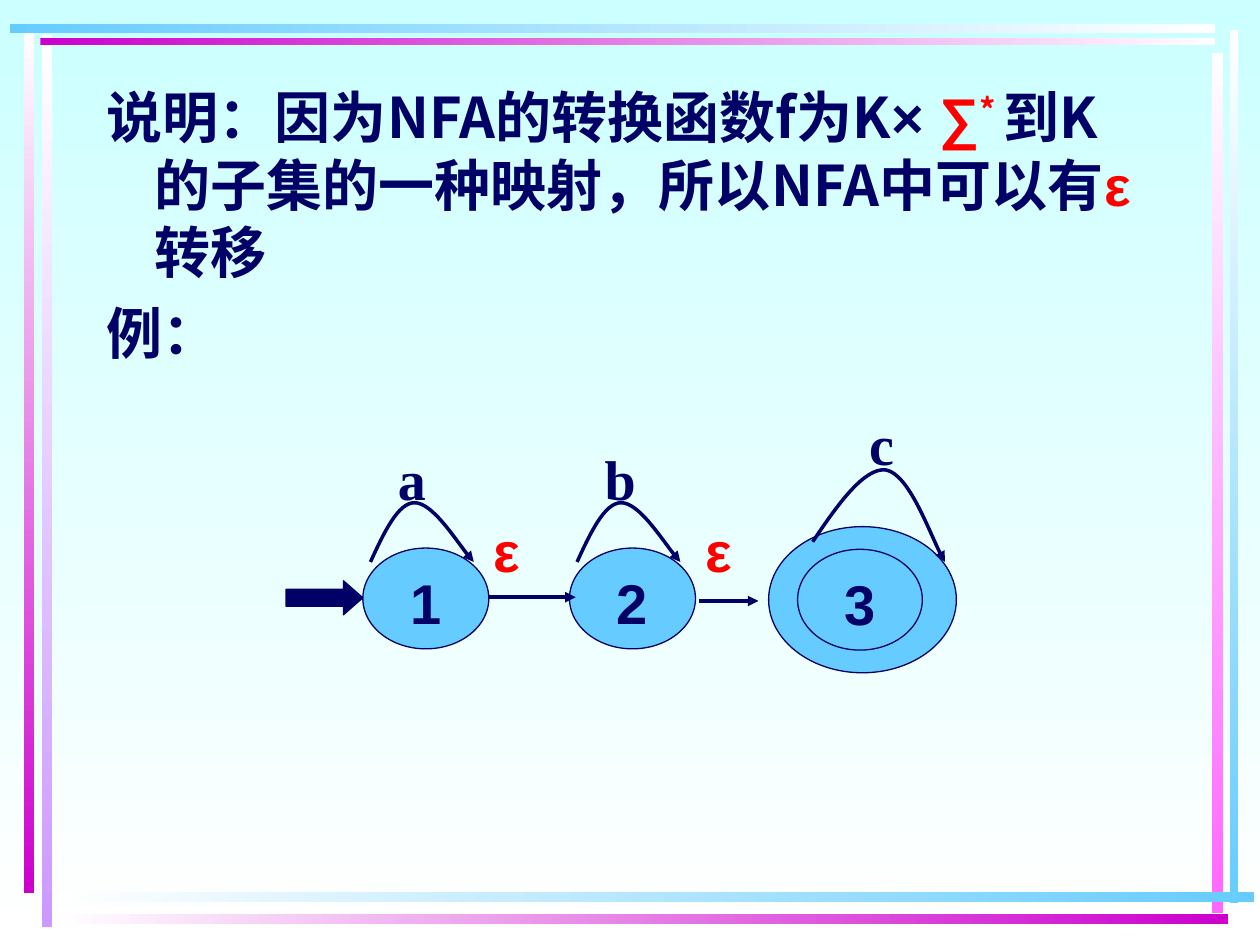
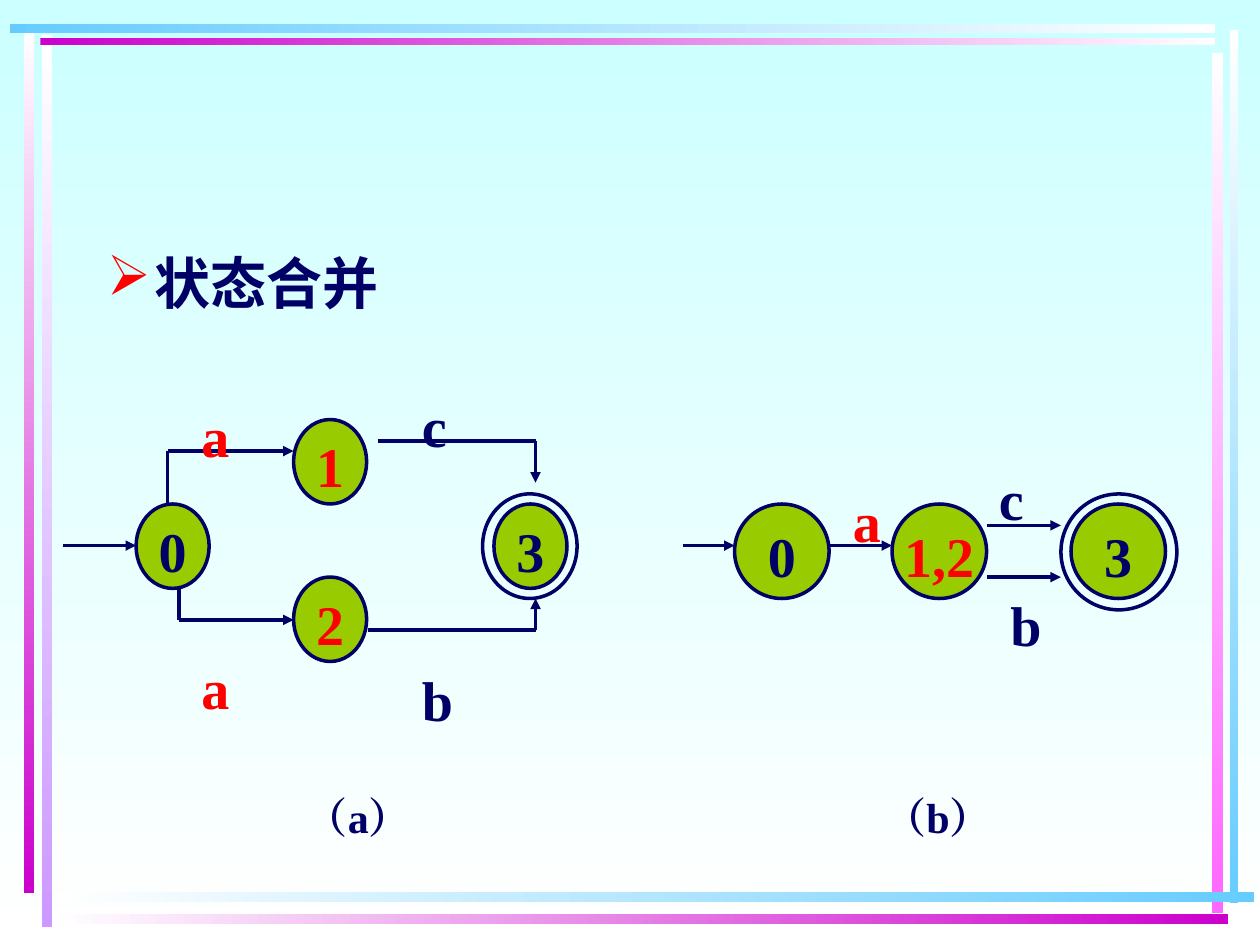
from lxml.etree import SubElement
from pptx import Presentation
from pptx.dml.color import RGBColor
from pptx.enum.shapes import MSO_CONNECTOR, MSO_SHAPE
from pptx.enum.text import MSO_ANCHOR, PP_ALIGN
from pptx.oxml.ns import qn
from pptx.util import Inches, Pt

NAVY, RED, SKY, LIME = "000066", "FF0000", "66CCFF", "99CC00"
WHITE, PALE, PURPLE, PINK, LILAC = "FFFFFF", "CCFFFF", "CC00CC", "FF66FF", "CC99FF"
SANS, SERIF, HAN, LATO = "Arial", "Times New Roman", "Noto Sans CJK SC", "Lato"
DOWN, RIGHT = 270, 0

# left, top, width, height, first colour, last colour, direction
BANDS = [
    (0.33, 0.28, 0.08, 7.08, WHITE, LILAC, DOWN),
    (0.19, 0.25, 0.08, 6.84, WHITE, PURPLE, DOWN),
    (9.76, 0.24, 0.07, 6.93, WHITE, SKY, DOWN),
    (9.62, 0.42, 0.09, 6.83, WHITE, PINK, DOWN),
    (0.45, 7.08, 9.5, 0.08, WHITE, SKY, RIGHT),
    (0.45, 7.25, 9.3, 0.08, WHITE, PURPLE, RIGHT),
    (0.32, 0.3, 9.32, 0.06, PURPLE, WHITE, RIGHT),
    (0.08, 0.19, 9.56, 0.07, SKY, WHITE, RIGHT),
]


def rgb(code):
    return RGBColor.from_string(code)


def box(*sizes):
    return [Inches(size) for size in sizes]


def blend(fill, first, last, angle):
    fill.gradient()
    fill.gradient_angle = angle
    for stop, code in zip(fill.gradient_stops, (first, last)):
        stop.color.rgb = rgb(code)


class Deck:
    """Holds the shared style and the slide being drawn."""

    def __init__(self):
        self.prs = Presentation()
        self.prs.slide_width, self.prs.slide_height = box(10, 7.5)

    def start(self, face, width):
        """Begin a framed slide with a diagram font and outline width."""
        self.face, self.width = face, width
        slide = self.prs.slides.add_slide(self.prs.slide_layouts[6])
        self.shapes = slide.shapes
        blend(slide.background.fill, PALE, WHITE, DOWN)
        for *place, first, last, angle in BANDS:
            band = self.shape(MSO_SHAPE.RECTANGLE, place)
            blend(band.fill, first, last, angle)
            band.line.fill.background()

    def shape(self, kind, place, fill=None):
        item = self.shapes.add_shape(kind, *box(*place))
        item.shadow.inherit = False
        if fill:
            item.fill.solid()
            item.fill.fore_color.rgb = rgb(fill)
        else:
            item.fill.background()
        self.stroke(item.line, self.width)
        return item

    def stroke(self, line, width=2, arrow=False):
        line.color.rgb = rgb(NAVY)
        line.width = Pt(width)
        if arrow:
            SubElement(line._get_or_add_ln(), qn("a:tailEnd"), type="triangle")

    def style(self, run, face, color=NAVY, size=32, east=None):
        font = run.font
        font.name, font.size, font.bold = face, Pt(size), True
        font.color.rgb = rgb(color)
        SubElement(run._r.get_or_add_rPr(), qn("a:ea"), typeface=east or face)

    def inset(self, frame):
        frame.margin_left = frame.margin_right = Inches(0.1)
        frame.margin_top, frame.margin_bottom = box(0.11, 0.05)

    def node(self, text, place, fill, color=NAVY):
        frame = self.shape(MSO_SHAPE.OVAL, place, fill).text_frame
        self.inset(frame)
        frame.word_wrap = False
        frame.vertical_anchor = MSO_ANCHOR.MIDDLE
        frame.text = text
        para = frame.paragraphs[0]
        para.alignment = PP_ALIGN.CENTER
        for run in para.runs:
            self.style(run, self.face, color)

    def ring(self, place, fill=None):
        self.shape(MSO_SHAPE.OVAL, place, fill)

    def label(self, text, place, color=NAVY, face=SERIF, size=32, align=PP_ALIGN.LEFT):
        frame = self.shapes.add_textbox(*box(*place)).text_frame
        self.inset(frame)
        frame.word_wrap = True
        frame.text = text
        para = frame.paragraphs[0]
        para.alignment = align
        self.style(para.runs[0], face, color, size)

    def line(self, *ends, arrow=True):
        item = self.shapes.add_connector(MSO_CONNECTOR.STRAIGHT, *box(*ends))
        self.stroke(item.line, arrow=arrow)
        SubElement(item._element.spPr, qn("a:effectLst"))

    def loop(self, start, *points):
        """Draw an arrow of cubic curves, three points to each curve."""
        pen = self.shapes.build_freeform(*box(*start))
        pen.add_line_segments([box(*point) for point in points], close=False)
        item = pen.convert_to_shape()
        route = item._element.find(".//" + qn("a:path"))
        steps = route.findall(qn("a:lnTo"))
        for i in range(0, len(steps), 3):
            curve = SubElement(route, qn("a:cubicBezTo"))
            for step in steps[i:i + 3]:
                curve.append(step[0])
                route.remove(step)
        item.shadow.inherit = False
        item.fill.background()
        self.stroke(item.line, arrow=True)

    def body(self, place, paras, bullet=None):
        """Write paragraphs of (text, face, colour, raise) with a hanging indent."""
        frame = self.shapes.add_textbox(*box(*place)).text_frame
        frame.word_wrap = True
        for i, parts in enumerate(paras):
            para = frame.add_paragraph() if i else frame.paragraphs[0]
            para.line_spacing = Pt(38.4)
            if i:
                para.space_before = Pt(8)
            props = para._p.get_or_add_pPr()
            props.set("marL", str(Inches(0.38)))
            props.set("indent", str(-Inches(0.38)))
            if bullet:
                tint = SubElement(props, qn("a:buClr"))
                SubElement(tint, qn("a:srgbClr"), val=RED)
                SubElement(props, qn("a:buChar"), char=bullet)
            for text, face, color, lift in parts:
                run = para.add_run()
                run.text = text
                self.style(run, face, color, east=LATO if face == LATO else HAN)
                if lift:
                    run.font._element.set("baseline", str(lift * 1000))


def moves(deck):
    """The automaton with empty moves."""
    deck.start(SANS, 0.75)
    deck.body((0.75, 0.61, 8.5, 2.67), [
        [("说明：因为NFA的转换函数f为K", HAN, NAVY, 0),
         ("× ", SANS, NAVY, 0),
         ("∑", SANS, RED, 0),
         ("* ", HAN, RED, 30),
         ("到K的子集的一种映射，所以NFA中可以有", HAN, NAVY, 0),
         ("ε", SANS, RED, 0),
         ("转移", HAN, NAVY, 0)],
        [("例：", HAN, NAVY, 0)],
    ])
    for i, (state, sign) in enumerate(zip("12", "ab")):
        dx = 1.64 * i
        deck.node(state, (2.88 + dx, 4.35, 1, 0.8), SKY)
        deck.loop((2.94 + dx, 4.46),
                  (3.05 + dx, 4.22), (3.16 + dx, 3.99), (3.29 + dx, 3.99),
                  (3.43 + dx, 3.99), (3.68 + dx, 4.38), (3.76 + dx, 4.46))
        deck.label(sign, (3.06 + dx, 3.42, 0.47, 0.64))
        deck.label("ε", (3.64 + 1.68 * i, 3.99, 0.77, 0.64), RED, SANS,
                   align=PP_ALIGN.CENTER)
    entry = deck.shape(MSO_SHAPE.RIGHT_ARROW, (2.27, 4.61, 0.61, 0.27), NAVY)
    entry.adjustments[1] = 0.57
    deck.line(3.87, 4.74, 4.57, 4.74)
    deck.line(5.55, 4.77, 6.02, 4.77)
    deck.ring((6.1, 4.18, 1.49, 1.16), SKY)
    deck.node("3", (6.33, 4.36, 0.99, 0.8), SKY)
    deck.loop((6.45, 4.3), (6.65, 4), (6.86, 3.71), (7.03, 3.73),
              (7.21, 3.76), (7.42, 4.34), (7.5, 4.46))
    deck.label("c", (6.8, 3.14, 0.58, 0.64))


def merge(deck):
    """Two automata, before and after states 1 and 2 are joined."""
    deck.start(SERIF, 2)
    deck.body((0.75, 1.92, 8.5, 0.75), [[("状态合并", LATO, NAVY, 0)]], "➢")

    for state, x, y, color in [("0", 1.08, 4, NAVY), ("1", 2.33, 3.33, RED),
                               ("2", 2.33, 4.58, RED), ("3", 3.92, 4, NAVY)]:
        deck.node(state, (x, y, 0.58, 0.67), LIME, color)
    deck.ring((3.83, 3.92, 0.75, 0.83))
    deck.line(0.5, 4.33, 1.08, 4.33)
    for x, y, bend_x, bend_y, end_x, end_y in [
        (1.33, 4, 1.33, 3.58, 2.33, 3.58),
        (1.42, 4.67, 1.42, 4.92, 2.33, 4.92),
        (3, 3.5, 4.25, 3.5, 4.25, 3.83),
        (2.92, 5, 4.25, 5, 4.25, 4.75),
    ]:
        deck.line(x, y, bend_x, bend_y, arrow=False)
        deck.line(bend_x, bend_y, end_x, end_y)

    for state, x, color in [("0", 5.83, NAVY), ("1,2", 7.08, RED), ("3", 8.5, NAVY)]:
        deck.node(state, (x, 4, 0.75, 0.75), LIME, color)
    deck.ring((8.42, 3.92, 0.92, 0.92))
    for x, end, y in [(5.42, 5.83, 4.33), (6.58, 7.08, 4.33),
                      (7.83, 8.42, 4.17), (7.83, 8.42, 4.58)]:
        deck.line(x, y, end, y)

    for sign, x, y, color in [
        ("a", 1.5, 3.08, RED), ("a", 1.5, 5.08, RED),
        ("b", 3.25, 5.17, NAVY), ("c", 3.25, 3, NAVY),
        ("a", 6.67, 3.75, RED), ("b", 7.92, 4.58, NAVY), ("c", 7.83, 3.58, NAVY),
    ]:
        deck.label(sign, (x, y, 0.5, 0.64), color)
    for text, x in [("（a）", 2.33), ("（b）", 6.92)]:
        deck.label(text, (x, 6.17, 1.3, 0.5), size=24)


def main():
    deck = Deck()
    moves(deck)
    merge(deck)
    deck.prs.save("out.pptx")


if __name__ == "__main__":
    main()
